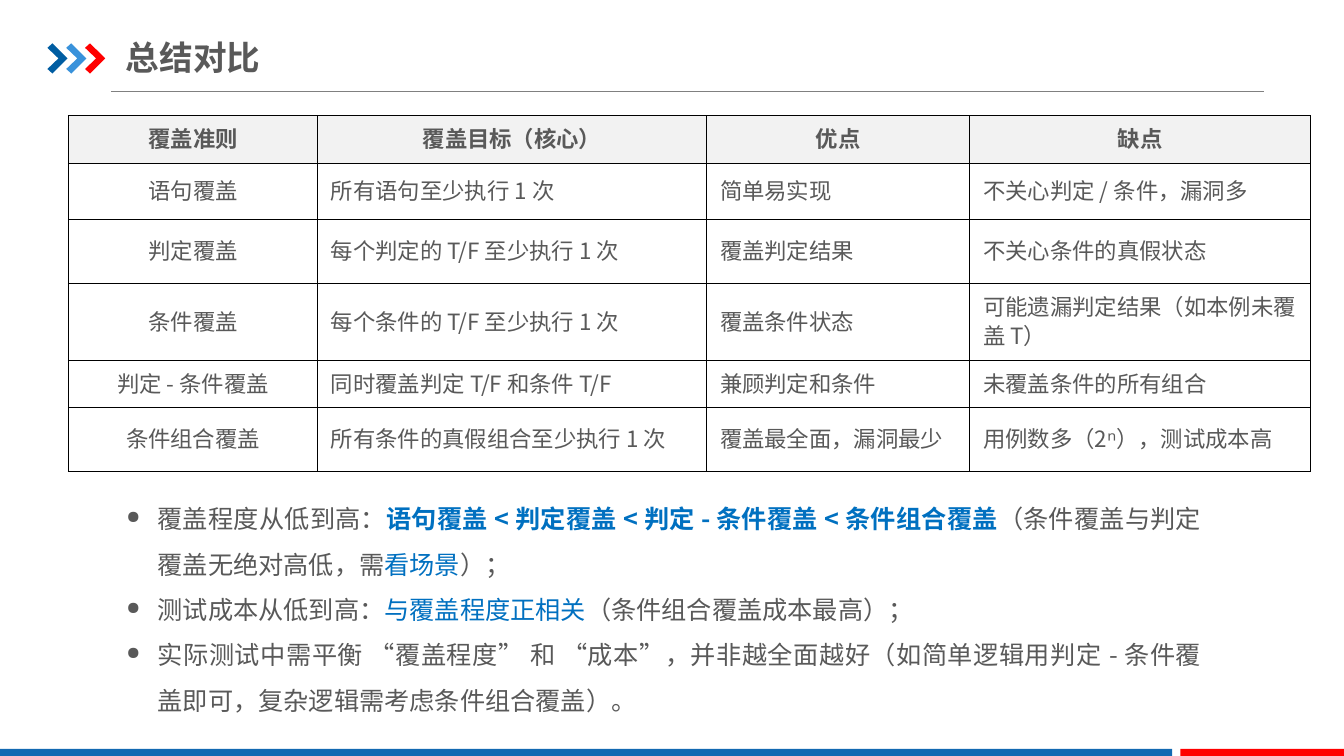
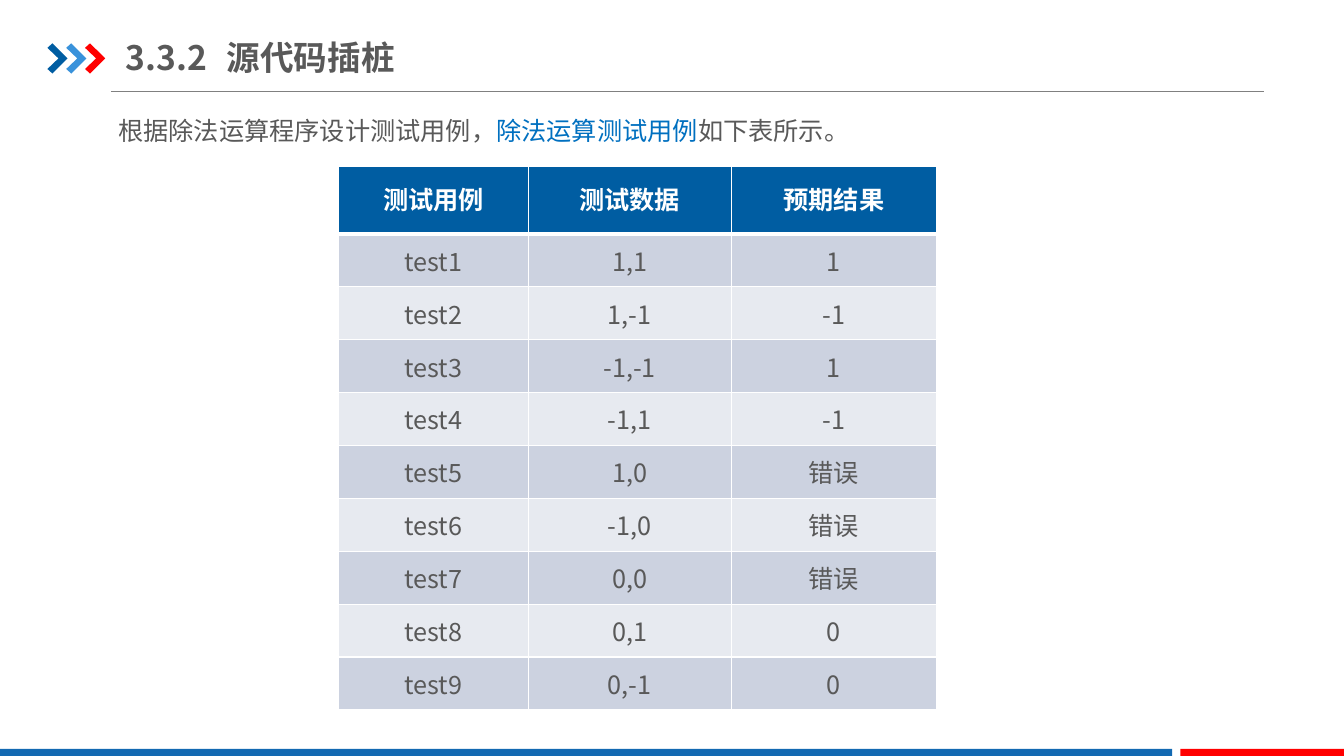
"""Build two slides on test coverage criteria and source code instrumentation."""
from lxml import etree
from pptx import Presentation
from pptx.dml.color import RGBColor
from pptx.enum.shapes import MSO_CONNECTOR, MSO_SHAPE
from pptx.enum.text import MSO_ANCHOR, MSO_AUTO_SIZE, PP_ALIGN
from pptx.oxml.ns import qn
from pptx.util import Inches, Pt

RECTANGLE, STRAIGHT = MSO_SHAPE.RECTANGLE, MSO_CONNECTOR.STRAIGHT
MIDDLE, TOP, GROW = MSO_ANCHOR.MIDDLE, MSO_ANCHOR.TOP, MSO_AUTO_SIZE.SHAPE_TO_FIT_TEXT
LEFT, CENTER, JUSTIFY = PP_ALIGN.LEFT, PP_ALIGN.CENTER, PP_ALIGN.JUSTIFY

SLIDE_W, SLIDE_H = Inches(13.33), Inches(7.5)
COL, ROW = SLIDE_W / 100, SLIDE_H / 100
FONT = "Noto Sans CJK SC"
INK, WHITE, BLACK, GRAY = "595959", "FFFFFF", "000000", "808080"
NAVY, SKY, RED, BAND, ACCENT = "005DA2", "3992DB", "FF0000", "1369B2", "0070C0"

rgb = RGBColor.from_string


def grid(*shares):
    """Turn alternating column and row counts into lengths."""
    return [round(share * (COL, ROW)[i % 2]) for i, share in enumerate(shares)]


def write(paragraph, runs, size, layout):
    """Fill a paragraph with (text, colour, bold) runs."""
    for key, value in layout.items():
        setattr(paragraph, key, value)
    for text, colour, bold in runs:
        run = paragraph.add_run()
        run.text = text
        for key, value in {"name": FONT, "size": Pt(size), "bold": bold}.items():
            setattr(run.font, key, value)
        run.font.color.rgb = rgb(colour)
        etree.SubElement(run.font._element, qn("a:ea")).set("typeface", FONT)


CHEVRON = [(0, 0.15), (0.25, 0), (1, 0.5), (0.25, 1), (0, 0.85), (0.55, 0.5)]
BANDS = [(0, 87.22, BAND), (87.83, 12.17, RED)]

TITLE_FRAME = {"word_wrap": True, "vertical_anchor": MIDDLE, "margin_left": 0,
               "margin_right": 0, "margin_top": round(ROW), "margin_bottom": round(ROW)}
BODY_FRAME = {**TITLE_FRAME, "vertical_anchor": TOP, "auto_size": GROW,
              "margin_left": round(COL), "margin_right": round(COL)}
BODY_LINES = {"alignment": JUSTIFY, "line_spacing": 1.5}

slides = [
    {
        "title": "总结对比",
        "body_box": (6.3, 63.6, 84.08, 31.33),
        "bulleted": True,
        "body": [
            [("覆盖程度从低到高：", INK, False),
             ("语句覆盖 < 判定覆盖 < 判定 - 条件覆盖 < 条件组合覆盖", ACCENT, True),
             ("（条件覆盖与判定覆盖无绝对高低，需", INK, False),
             ("看场景", ACCENT, False), ("）；", INK, False)],
            [("测试成本从低到高：", INK, False), ("与覆盖程度正相关", ACCENT, False),
             ("（条件组合覆盖成本最高）；", INK, False)],
            [("实际测试中需平衡 “覆盖程度” 和 “成本”，并非越全面越好（如简单逻辑用判定 - 条件覆盖即可，"
              "复杂逻辑需考虑条件组合覆盖）。", INK, False)],
        ],
        "table_corner": (5.1, 15.33),
        "columns": [18.53, 28.95, 19.58, 25.35],
        "rows": [5.6, 7.47, 8.4, 9.2, 6.13, 8.4],
        "cells": [
            ("覆盖准则", "覆盖目标（核心）", "优点", "缺点"),
            ("语句覆盖", "所有语句至少执行 1 次", "简单易实现", "不关心判定 / 条件，漏洞多"),
            ("判定覆盖", "每个判定的 T/F 至少执行 1 次", "覆盖判定结果", "不关心条件的真假状态"),
            ("条件覆盖", "每个条件的 T/F 至少执行 1 次", "覆盖条件状态", "可能遗漏判定结果（如本例未覆盖 T）"),
            ("判定 - 条件覆盖", "同时覆盖判定 T/F 和条件 T/F", "兼顾判定和条件", "未覆盖条件的所有组合"),
            ("条件组合覆盖", "所有条件的真假组合至少执行 1 次", "覆盖最全面，漏洞最少", "用例数多（2ⁿ），测试成本高"),
        ],
        "size": 16, "head": ("F2F2F2", INK), "stripes": (WHITE, WHITE),
        "border": BLACK, "head_rule": 1, "spacing": (Pt(21), Pt(21)),
        "centred": 1, "margins": (1, 1.2),
    },
    {
        "title": "3.3.2\t源代码插桩",
        "body_box": (7.8, 12.27, 84.38, 7.87),
        "bulleted": False,
        "body": [[("根据除法运算程序设计测试用例，", INK, False),
                  ("除法运算测试用例", ACCENT, False), ("如下表所示。", INK, False)]],
        "table_corner": (25.2, 22),
        "columns": [14.1, 15.1, 15.3],
        "rows": [8.93] + [7] * 9,
        "cells": [("测试用例", "测试数据", "预期结果")] + [
            (f"test{number}", data, result) for number, (data, result) in enumerate([
                ("1,1", "1"), ("1,-1", "-1"), ("-1,-1", "1"), ("-1,1", "-1"),
                ("1,0", "错误"), ("-1,0", "错误"), ("0,0", "错误"),
                ("0,1", "0"), ("0,-1", "0")], 1)],
        "size": 18, "head": (NAVY, WHITE), "stripes": ("CCD2E0", "E7EAF0"),
        "border": WHITE, "head_rule": 3, "spacing": (0.9, 1.0),
        "centred": 3, "margins": (0.75, 0.67),
    },
]

deck = Presentation()
deck.slide_width, deck.slide_height = SLIDE_W, SLIDE_H

for content in slides:
    shapes = deck.slides.add_slide(deck.slide_layouts[6]).shapes

    title_rule = shapes.add_connector(STRAIGHT, *grid(8.25, 12.13, 94.05, 12.13))
    title_rule.line.color.rgb = rgb(GRAY)
    title_rule.line.width = Pt(0.75)
    etree.SubElement(title_rule._element.spPr, qn("a:effectLst"))

    solids = []
    for step, colour in enumerate((NAVY, SKY, RED)):
        outline = [grid(3.53 + 1.4 * step + 1.5 * x, 5.73 + 4 * y) for x, y in CHEVRON]
        builder = shapes.build_freeform(*outline[0])
        builder.add_line_segments(outline[1:], close=True)
        solids.append((builder.convert_to_shape(), colour))
    for left, width, colour in BANDS:
        band = shapes.add_shape(RECTANGLE, *grid(left, 99.07, width, 0.93))
        solids.append((band, colour))
    for solid, colour in solids:
        solid.shadow.inherit = False
        solid.fill.solid()
        solid.fill.fore_color.rgb = rgb(colour)
        solid.line.fill.background()

    body = shapes.add_textbox(*grid(*content["body_box"])).text_frame
    title = shapes.add_textbox(*grid(9.37, 3.87, 31.95, 7.33)).text_frame
    for frame, settings in ((body, BODY_FRAME), (title, TITLE_FRAME)):
        for key, value in settings.items():
            setattr(frame, key, value)
    write(title.paragraphs[0], [(content["title"], INK, True)], 24, {"alignment": LEFT})

    for i, runs in enumerate(content["body"]):
        point = body.add_paragraph() if i else body.paragraphs[0]
        write(point, runs, 18, BODY_LINES)
        if content["bulleted"]:
            properties = point._p.get_or_add_pPr()
            for key, value in {"marL": Inches(0.59), "indent": Inches(-0.31)}.items():
                properties.set(key, str(value))
            etree.SubElement(properties, qn("a:buSzPct")).set("val", "70000")
            etree.SubElement(properties, qn("a:buChar")).set("char", "●")

    columns, rows = content["columns"], content["rows"]
    extent = grid(*content["table_corner"], sum(columns), sum(rows))
    table = shapes.add_table(len(rows), len(columns), *extent).table
    for column, share in zip(table.columns, columns):
        column.width = round(share * COL)
    for row, share in zip(table.rows, rows):
        row.height = round(share * ROW)

    side, edge = grid(*content["margins"])
    cell_format = {"vertical_anchor": MIDDLE, "margin_left": side, "margin_right": side,
                   "margin_top": edge, "margin_bottom": edge}
    for r, texts in enumerate(content["cells"]):
        is_head = r == 0
        fill, ink = content["head"] if is_head else (content["stripes"][(r - 1) % 2], INK)
        rules = {"lnL": 1, "lnR": 1,
                 "lnT": content["head_rule"] if r == 1 else 1,
                 "lnB": content["head_rule"] if is_head else 1}
        for c, text in enumerate(texts):
            cell = table.cell(r, c)
            for key, value in cell_format.items():
                setattr(cell, key, value)
            for tag, points in rules.items():
                rule = etree.SubElement(cell._tc.get_or_add_tcPr(), qn(f"a:{tag}"))
                rule.set("w", str(Pt(points)))
                paint = etree.SubElement(rule, qn("a:solidFill"))
                etree.SubElement(paint, qn("a:srgbClr")).set("val", content["border"])
            cell.fill.solid()
            cell.fill.fore_color.rgb = rgb(fill)
            centred = is_head or c < content["centred"]
            write(cell.text_frame.paragraphs[0], [(text, ink, is_head)], content["size"],
                  {"alignment": CENTER if centred else LEFT,
                   "line_spacing": content["spacing"][0 if is_head else 1]})

deck.save("out.pptx")
